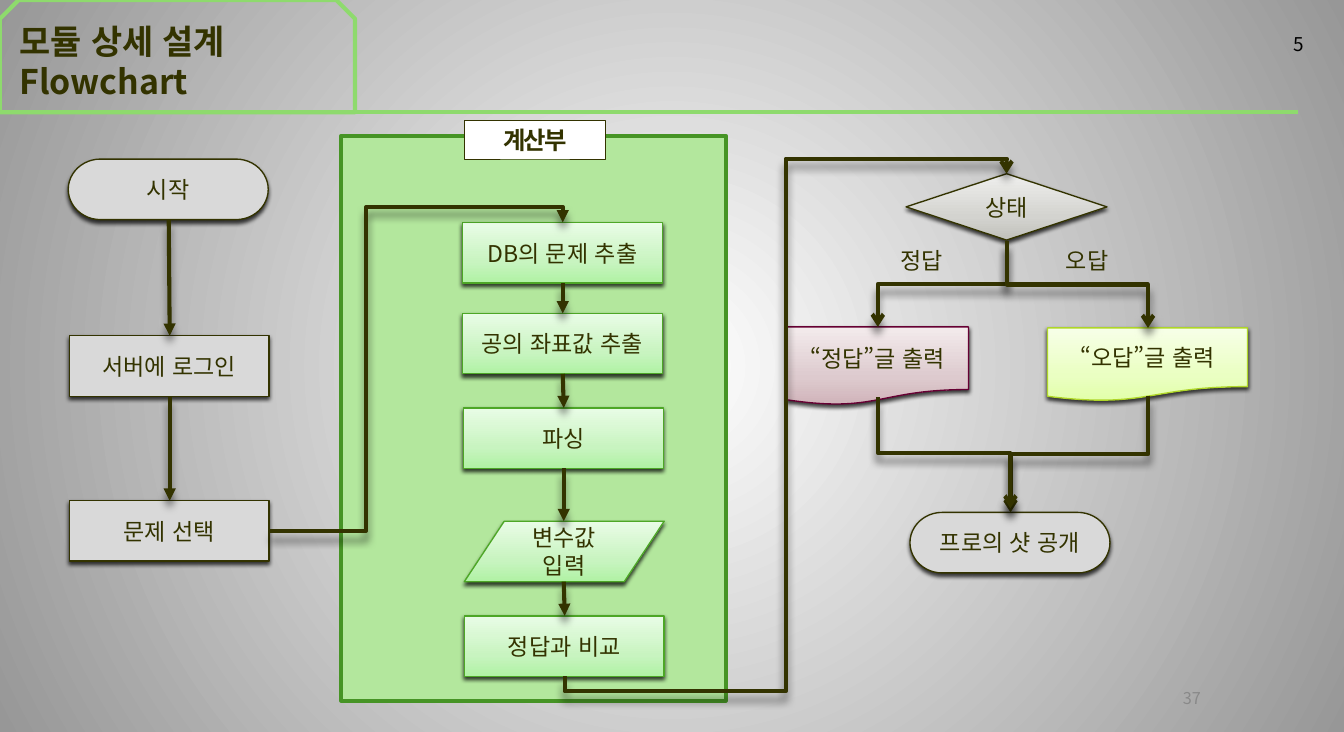
from typing import NamedTuple

from lxml.etree import SubElement as Sub
from pptx import Presentation
from pptx.dml.color import RGBColor as RGB
from pptx.enum.lang import MSO_LANGUAGE_ID as Lang
from pptx.enum.shapes import MSO_CONNECTOR as Conn, MSO_SHAPE as Form
from pptx.enum.text import MSO_ANCHOR as Anchor, MSO_AUTO_SIZE as Auto, PP_ALIGN as Align
from pptx.oxml.ns import qn
from pptx.util import Cm, Inches, Pt

FONT = "Noto Sans CJK KR"
HUES = {"ink": "333300", "black": "000000", "white": "FFFFFF", "pale": "898989",
        "lime": "8EDA6D", "panel": "B3E79D", "edge": "469425"}
WIDE, HIGH = 2.05, 0.62


class Look(NamedTuple):
    line: str
    stops: dict[int, str]


class Step(NamedTuple):
    text: str
    left: float
    top: float
    look: str
    form: Form = Form.RECTANGLE
    wide: float = WIDE
    high: float = HIGH


class Link(NamedTuple):
    start: tuple[float, float]
    end: tuple[float, float]
    bends: tuple[float, ...] = ()
    turned: bool = False
    head: str = "triangle"


class Note(NamedTuple):
    text: str
    box: tuple[float, float, float, float]
    size: int
    hue: str = "ink"
    align: Align = Align.LEFT
    wrap: bool = True


LOOKS = {
    "gray": Look("333300", {0: "D9D9D9"}),
    "green": Look("4DA726", {0: "B0F2A4", 35: "C8F4C0", 100: "E9FCE6"}),
    "yellow": Look("AFD628", {0: "E2FFA9", 35: "EAFFC2", 100: "F7FFE8"}),
    "stone": Look("333300", {0: "C1C1BB", 35: "D3D3CF", 100: "EFEFED"}),
    "wine": Look("660033", {0: "D0B3B9", 35: "DDCACE", 100: "F3EBEC"}),
}
STEPS = [
    Step("시작", 0.7, 1.63, "gray", Form.FLOWCHART_TERMINATOR),
    Step("서버에 로그인", 0.71, 3.44, "gray"),
    Step("문제 선택", 0.71, 5.13, "gray"),
    Step("DB의 문제 추출", 4.74, 2.28, "green"),
    Step("공의 좌표값 추출", 4.74, 3.21, "green"),
    Step("파싱", 4.75, 4.18, "green"),
    Step("변수값 입력", 4.76, 5.34, "green", Form.FLOWCHART_DATA),
    Step("정답과 비교", 4.76, 6.31, "green"),
    Step("상태", 9.29, 1.78, "stone", Form.FLOWCHART_DECISION, 2.06, 0.68),
    Step("“정답”글 출력", 8.07, 3.35, "wine", Form.FLOWCHART_DOCUMENT, 1.86, 0.8),
    Step("“오답”글 출력", 10.74, 3.36, "yellow", Form.FLOWCHART_DOCUMENT, WIDE, 0.75),
    Step("프로의 샷 공개", 9.33, 5.25, "gray", Form.FLOWCHART_TERMINATOR),
]
LINKS = [
    Link((1.73, 2.25), (1.74, 3.44)),
    Link((1.74, 4.06), (1.74, 5.13)),
    Link((2.76, 5.44), (5.77, 2.28), (0.33, 1.05)),
    Link((5.77, 2.9), (5.77, 3.21)),
    Link((5.77, 3.83), (5.78, 4.18)),
    Link((5.78, 4.8), (5.78, 5.34)),
    Link((5.78, 5.96), (5.79, 6.31)),
    Link((5.79, 6.93), (10.32, 1.78), (-0.03, 0.5, 1.03), True, "arrow"),
    Link((10.32, 2.47), (9, 3.35), (0.5,), True, "arrow"),
    Link((10.32, 2.47), (11.77, 3.36), (0.5,), True, "arrow"),
    Link((11.77, 4.06), (10.36, 5.25), (0.5,), True, "arrow"),
    Link((9, 4.07), (10.36, 5.21), (0.5,), True, "arrow"),
]
NOTES = [
    Note("5", (10.26, 0.28, 3.21, 0.27), 14, "black", Align.RIGHT),
    Note("37", (9.2, 7, 3.21, 0.3), 12, "pale", Align.RIGHT),
    Note("정답", (9.13, 2.48, 0.67, 0.38), 17, wrap=False),
    Note("오답", (10.83, 2.48, 1.14, 0.38), 17),
]


def rgb(hue: str) -> RGB:
    return RGB.from_string(HUES.get(hue, hue))


def write(shape, text: str, size: int, hue: str = "ink", align: Align = Align.CENTER,
          bold: bool = False, wrap: bool = True, gap: int = 0) -> None:
    frame = shape.text_frame
    frame.text, frame.word_wrap = text, wrap
    para = frame.paragraphs[0]
    para.alignment = align
    para.runs[0].font.language_id = Lang.KOREAN
    font = para.font
    font.name, font.size, font.bold = FONT, Pt(size), bold
    font.color.rgb = rgb(hue)
    props = para._p.pPr.find(qn("a:defRPr"))
    Sub(props, qn("a:ea"), typeface=FONT)
    if gap:
        props.set("spc", str(gap))


def blend(owner, stops: dict[int, str], kind: str = "lin"):
    """Swap the plain fill of an element for a gradient."""
    plain = owner.find(qn("a:solidFill"))
    grad = plain.makeelement(qn("a:gradFill"), {"rotWithShape": "1"})
    owner.replace(plain, grad)
    row = Sub(grad, qn("a:gsLst"))
    for place, hue in stops.items():
        Sub(Sub(row, qn("a:gs"), pos=str(place * 1000)), qn("a:srgbClr"), val=hue)
    if kind == "lin":
        Sub(grad, qn("a:lin"), ang="16200000", scaled="1")
    else:
        ring = Sub(grad, qn("a:path"), path=kind)
        Sub(ring, qn("a:fillToRect"), dict.fromkeys("ltrb", "50000"))


def shade(props, alpha: int, blur: int, drop: int) -> None:
    cast = Sub(Sub(props, qn("a:effectLst")), qn("a:outerShdw"), blurRad=str(Pt(blur)),
               dist=str(Pt(drop)), dir="5400000", rotWithShape="0")
    hue = Sub(cast, qn("a:srgbClr"), val=HUES["black"])
    Sub(hue, qn("a:alpha"), val=str(alpha * 1000))


def stroke(shape, hue: str, width: float) -> None:
    shape.line.color.rgb, shape.line.width = rgb(hue), Pt(width)


def block(slide, form: Form, box: tuple[float, ...], fill: str, line: str, width: float):
    shape = slide.shapes.add_shape(form, *map(Inches, box))
    shape.fill.solid()
    shape.fill.fore_color.rgb = rgb(fill)
    stroke(shape, line, width)
    return shape


def add_step(slide, step: Step) -> None:
    look = LOOKS[step.look]
    shape = block(slide, step.form, (step.left, step.top, step.wide, step.high),
                  look.stops[0], look.line, 1)
    props = shape._element.spPr
    if len(look.stops) > 1:
        blend(props, look.stops)
    shade(props, 75, 3, 2)
    shape.text_frame.vertical_anchor = Anchor.MIDDLE
    write(shape, step.text, 17)


def add_link(slide, link: Link) -> None:
    (x1, y1), (x2, y2) = link.start, link.end
    if link.turned:  # ends before a quarter turn about the centre
        cx, cy, dx, dy = (x1 + x2) / 2, (y1 + y2) / 2, (x2 - x1) / 2, (y2 - y1) / 2
        x1, y1, x2, y2 = cx - dy, cy + dx, cx + dy, cy - dx
    kind = Conn.ELBOW if link.bends else Conn.STRAIGHT
    wire = slide.shapes.add_connector(kind, *map(Inches, (x1, y1, x2, y2)))
    stroke(wire, "ink", 3)
    props = wire._element.spPr
    Sub(props.find(qn("a:ln")), qn("a:tailEnd"), type=link.head)
    if link.turned:
        props.find(qn("a:xfrm")).set("rot", "5400000")
    if link.bends:
        geom = props.find(qn("a:prstGeom"))
        geom.set("prst", f"bentConnector{len(link.bends) + 2}")
        for num, bend in enumerate(link.bends, 1):
            Sub(geom.find(qn("a:avLst")), qn("a:gd"), name=f"adj{num}",
                fmla=f"val {round(bend * 100000)}")
    shade(props, 50, 6, 6)


def add_title(slide) -> None:
    tab = block(slide, Form.SNIP_2_SAME_RECTANGLE, (0, 0, 3.64, 1.15), "white", "lime", 3)
    tab.fill.background()
    tab.shadow.inherit = False
    title = slide.shapes.title
    title.left, title.top, title.width, title.height = map(Inches, (0.1, 0.1, 3.44, 1.05))
    write(title, "모듈 상세 설계Flowchart", 25, align=Align.LEFT, bold=True)
    title.text_frame.auto_size = Auto.NONE
    title.text_frame.vertical_anchor = Anchor.MIDDLE


def main() -> None:
    deck = Presentation()
    deck.slide_width, deck.slide_height = Cm(35), Inches(7.5)
    slide = deck.slides.add_slide(deck.slide_layouts[5])

    # Background and heading
    slide.background.fill.solid()
    blend(next(slide.element.iter(qn("p:bgPr"))), {0: "FFFFFF", 100: "979797"}, "circle")
    add_title(slide)
    rule = slide.shapes.add_connector(Conn.STRAIGHT, *map(Inches, (0, 1.15, 13.31, 1.15)))
    stroke(rule, "lime", 3)
    Sub(rule._element.spPr, qn("a:effectLst"))

    # Calculation panel with its label
    panel = block(slide, Form.RECTANGLE, (3.5, 1.39, 3.94, 5.79), "panel", "edge", 3)
    label = block(slide, Form.RECTANGLE, (4.76, 1.23, 1.45, 0.4), "white", "ink", 0.75)
    panel.shadow.inherit = label.shadow.inherit = False
    write(label, "계산부", 18, bold=True, gap=-150)

    # Flow and notes
    for step in STEPS:
        add_step(slide, step)
    for link in LINKS:
        add_link(slide, link)
    for note in NOTES:
        box = slide.shapes.add_textbox(*map(Inches, note.box))
        write(box, note.text, note.size, note.hue, note.align, wrap=note.wrap)
    deck.save("out.pptx")


if __name__ == "__main__":
    main()
